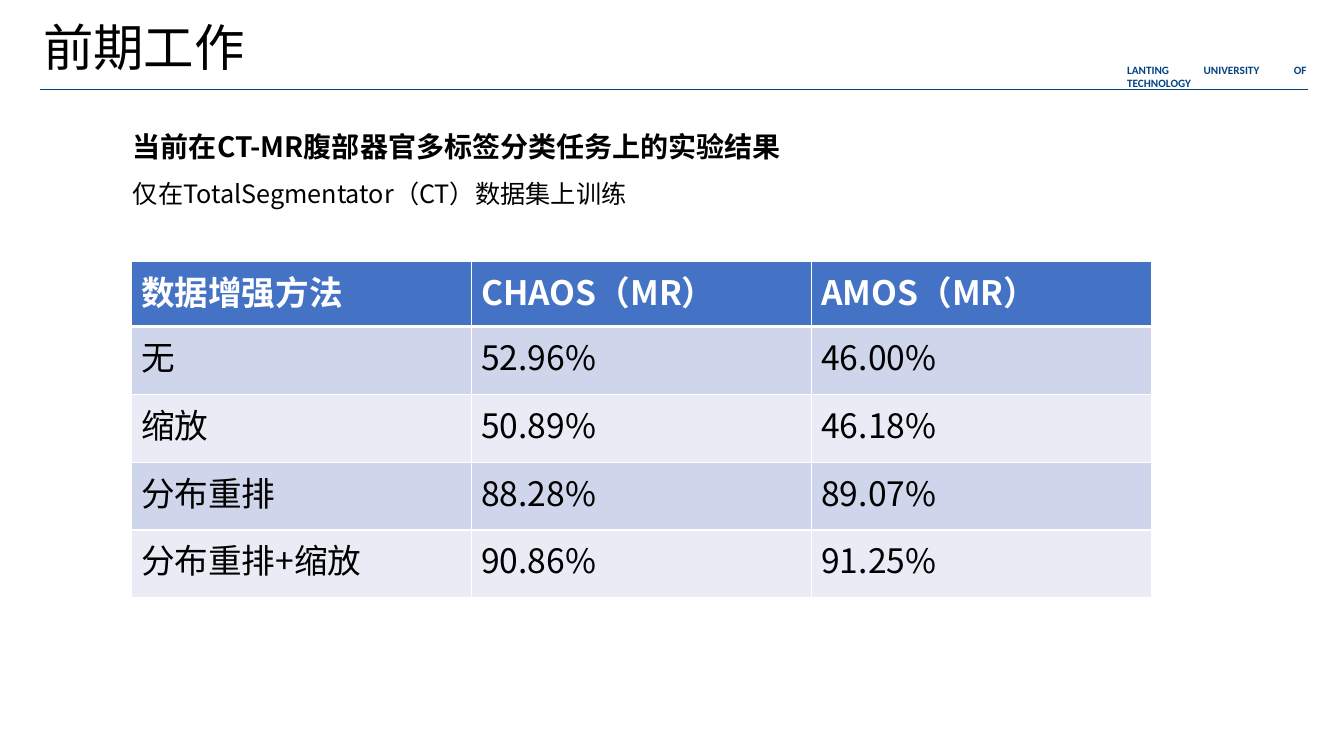
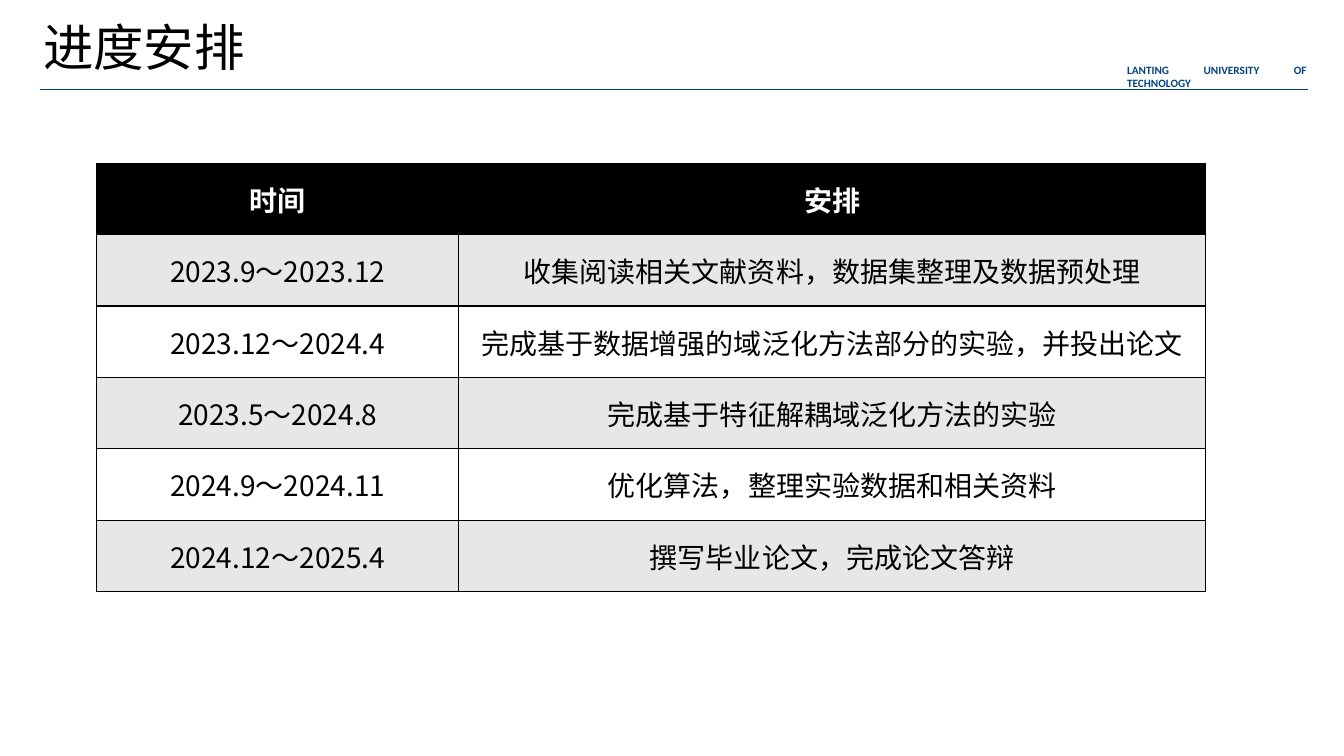
from lxml import etree
from pptx import Presentation
from pptx import util as u
from pptx.dml.color import RGBColor
from pptx.enum import shapes, text
from pptx.oxml import ns

HEX = {"navy": "024282", "black": "000000", "white": "FFFFFF",
       "blue": "4472C4", "mid": "CFD5EA", "pale": "E9EBF5", "gray": "E7E7E7"}
SANS = "Noto Sans CJK SC"
ALIGN = text.PP_ALIGN

RESULTS = [
    ("数据增强方法", "CHAOS（MR）", "AMOS（MR）"),
    ("无", "52.96%", "46.00%"),
    ("缩放", "50.89%", "46.18%"),
    ("分布重排", "88.28%", "89.07%"),
    ("分布重排+缩放", "90.86%", "91.25%"),
]
PLAN = [
    ("时间", "安排"),
    ("2023.9～2023.12", "收集阅读相关文献资料，数据集整理及数据预处理"),
    ("2023.12～2024.4", "完成基于数据增强的域泛化方法部分的实验，并投出论文"),
    ("2023.5～2024.8", "完成基于特征解耦域泛化方法的实验"),
    ("2024.9～2024.11", "优化算法，整理实验数据和相关资料"),
    ("2024.12～2025.4", "撰写毕业论文，完成论文答辩"),
]


def rgb(name):
    return RGBColor.from_string(HEX[name])


def style(para, size, color="black", bold=False, face=SANS, align=ALIGN.LEFT):
    font = para.font
    font.size, font.bold, font.name = u.Pt(size), bold, face
    font.color.rgb = rgb(color)
    para.alignment = align
    # East Asian face, next to the Latin one
    props = para._p.get_or_add_pPr().find(ns.qn("a:defRPr"))
    etree.SubElement(props, ns.qn("a:ea"), typeface=face)


def write(slide, box, lines, gap=None):
    """Place a text box; each line is (wording, style options)."""
    frame = slide.shapes.add_textbox(*map(u.Inches, box)).text_frame
    frame.word_wrap = True
    for i, (words, opts) in enumerate(lines):
        para = frame.add_paragraph() if i else frame.paragraphs[0]
        para.text = words
        style(para, **opts)
        if gap:
            para.line_spacing = gap


def border(cell, color, widths):
    """Draw the cell's sides; widths are points by side."""
    props = cell._tc.get_or_add_tcPr()
    for side in "LRTB":
        line = etree.SubElement(props, ns.qn("a:ln" + side),
                                w=str(u.Pt(widths.get(side, 1))))
        fill = etree.SubElement(line, ns.qn("a:solidFill"))
        etree.SubElement(fill, ns.qn("a:srgbClr"), val=HEX[color])


def grid(slide, box, rows, cols, head, bands, edge, size,
         top=None, rule=1, align=ALIGN.LEFT, anchor=text.MSO_ANCHOR.TOP):
    """Banded table; top is the header height, rule the line under it."""
    high = box[3]
    top = top or high / len(rows)
    table = slide.shapes.add_table(len(rows), len(cols),
                                   *map(u.Inches, box)).table
    for col, wide in zip(table.columns, cols):
        col.width = u.Inches(wide)
    for r, row in enumerate(rows):
        table.rows[r].height = u.Inches(
            (high - top) / (len(rows) - 1) if r else top)
        sides = {0: {"B": rule}, 1: {"T": rule}}.get(r, {})
        for c, words in enumerate(row):
            cell = table.cell(r, c)
            border(cell, edge, sides)
            cell.fill.solid()
            cell.fill.fore_color.rgb = rgb(bands[(r - 1) % 2] if r else head)
            cell.vertical_anchor = anchor
            cell.text = words
            style(cell.text_frame.paragraphs[0], size,
                  "black" if r else "white", bold=not r, align=align)


def page(deck, title):
    """Blank slide with the shared header."""
    slide = deck.slides.add_slide(deck.slide_layouts[6])
    # Header rule
    y = u.Inches(0.89)
    rule = slide.shapes.add_connector(shapes.MSO_CONNECTOR.STRAIGHT,
                                      u.Inches(0.4), y, u.Inches(12.97), y)
    rule.line.color.rgb = rgb("navy")
    rule.line.width = u.Pt(0.75)
    etree.SubElement(rule._element.spPr, ns.qn("a:effectLst"))
    # School name and title
    write(slide, (11.08, 0.58, 1.98, 0.24),
          [("LANTING UNIVERSITY OF TECHNOLOGY",
            dict(size=8, color="navy", bold=True, face="Calibri",
                 align=ALIGN.JUSTIFY))])
    write(slide, (0.33, 0.11, 4.44, 0.71), [(title, dict(size=36))])
    return slide


def results(deck):
    slide = page(deck, "前期工作")
    write(slide, (1.22, 1.07, 7, 1.52),
          [("当前在CT-MR腹部器官多标签分类任务上的实验结果",
            dict(size=20, bold=True)),
           ("仅在TotalSegmentator（CT）数据集上训练", dict(size=18))], gap=1.5)
    grid(slide, (1.3, 2.59, 10.12, 3.34), RESULTS, [10.12 / 3] * 3, "blue",
         ("mid", "pale"), "white", 24, top=0.65, rule=3)


def plan(deck):
    slide = page(deck, "进度安排")
    grid(slide, (0.96, 1.62, 11, 4.25), PLAN, [3.59, 7.41], "black",
         ("gray", "white"), "black", 20, align=ALIGN.CENTER,
         anchor=text.MSO_ANCHOR.MIDDLE)


def main():
    deck = Presentation()
    deck.slide_width, deck.slide_height = u.Inches(13.33), u.Inches(7.5)
    results(deck)
    plan(deck)
    deck.save("out.pptx")


if __name__ == "__main__":
    main()
